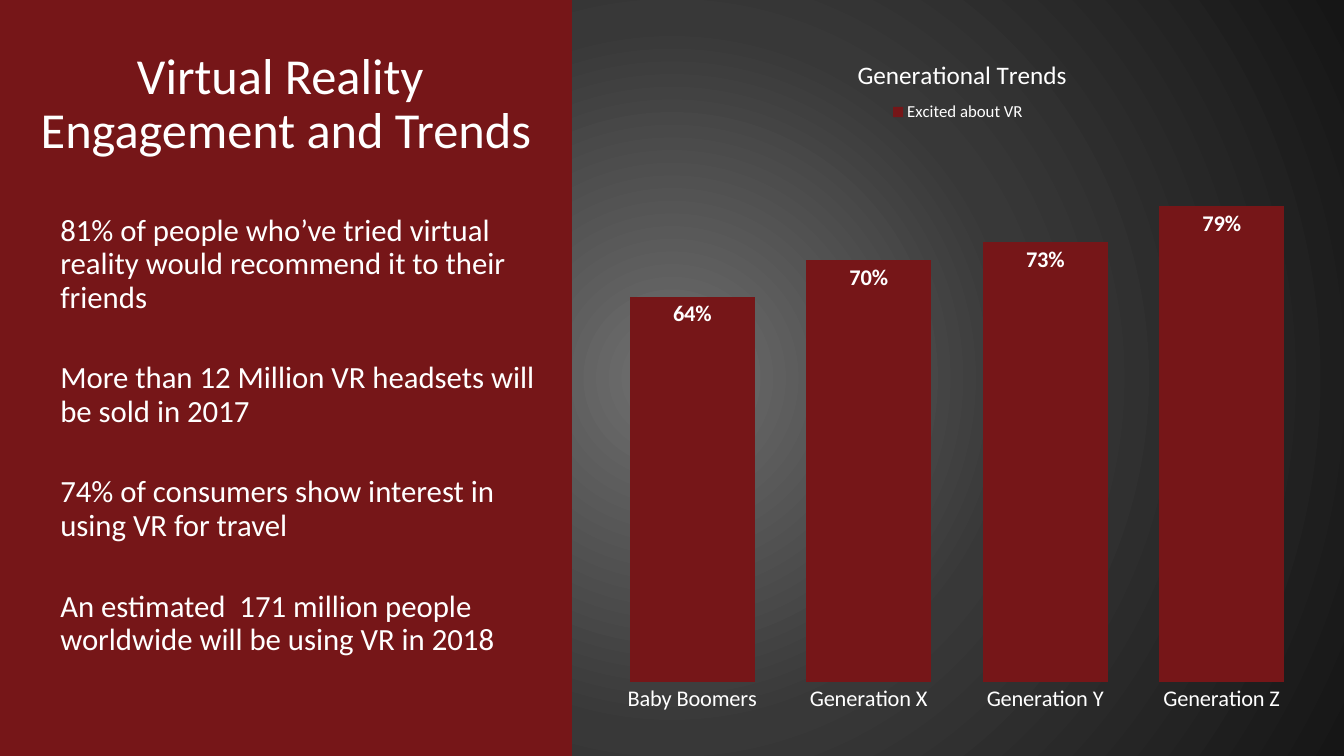
from lxml import etree
from pptx import Presentation
from pptx.chart.data import CategoryChartData
from pptx.dml.color import RGBColor
from pptx.enum.chart import (XL_CHART_TYPE as ChartType, XL_LABEL_POSITION as LabelPosition,
                             XL_LEGEND_POSITION as LegendPosition, XL_TICK_MARK as TickMark)
from pptx.enum.text import MSO_ANCHOR as Anchor, PP_ALIGN as Align
from pptx.oxml import parse_xml
from pptx.oxml.ns import nsdecls, qn
from pptx.util import Pt

PX = 12192000 / 1344
WHITE = RGBColor(0xFF, 0xFF, 0xFF)
DARK_RED = RGBColor(0x76, 0x16, 0x18)
FONT = "Calibri"
PANEL_WIDTH, TITLE_HEIGHT = 572, 210
CHART_LEFT, CHART_TOP, CHART_WIDTH, CHART_HEIGHT = 590, 25, 735, 703


def style(font, size, bold=False):
    font.name = FONT
    font.size = Pt(size)
    font.bold = bold
    font.color.rgb = WHITE


def place(element, left, top, width=None, height=None, inner=False):
    """Set a manual layout, given in slide px, on a chart part."""
    layout = element.get_or_add_layout() if hasattr(element, "get_or_add_layout") else element.find(qn("c:layout"))
    if layout is None:
        layout = etree.Element(qn("c:layout"))
        element.insert(0, layout)
    for child in list(layout):
        layout.remove(child)
    manual = etree.SubElement(layout, qn("c:manualLayout"))
    settings = [("layoutTarget", "inner")] if inner else []
    settings += [("xMode", "edge"), ("yMode", "edge"),
                 ("x", (left - CHART_LEFT) / CHART_WIDTH), ("y", (top - CHART_TOP) / CHART_HEIGHT)]
    if width:
        settings += [("w", width / CHART_WIDTH), ("h", height / CHART_HEIGHT)]
    for tag, value in settings:
        etree.SubElement(manual, qn(f"c:{tag}")).set("val", str(value))


deck = Presentation()
deck.slide_width, deck.slide_height = round(1344 * PX), round(756 * PX)
page = deck.slides.add_slide(deck.slide_layouts[6])

# Radial grey background
page.background.fill.solid()
background = page.background.fill._xPr
stops = "".join(f'<a:gs pos="{position * 1000}"><a:srgbClr val="{color}"/></a:gs>'
                for position, color in [(0, "707070"), (46, "383838"), (100, "161616")])
gradient = parse_xml(
    f'<a:gradFill {nsdecls("a")} rotWithShape="1"><a:gsLst>{stops}</a:gsLst><a:path path="circle">'
    '<a:fillToRect l="50000" t="50000" r="50000" b="50000"/></a:path></a:gradFill>')
background.replace(background.find(qn("a:solidFill")), gradient)

# Red panels
frames = []
for top, height in [(0, TITLE_HEIGHT), (TITLE_HEIGHT, 756 - TITLE_HEIGHT)]:
    box = page.shapes.add_textbox(0, round(top * PX), round(PANEL_WIDTH * PX), round(height * PX))
    box.fill.solid()
    box.fill.fore_color.rgb = DARK_RED
    box.text_frame.word_wrap = True
    frames.append(box.text_frame)
title_frame, facts_frame = frames

# Title
title_frame.vertical_anchor = Anchor.MIDDLE
para = title_frame.paragraphs[0]
para.alignment = Align.CENTER
para.line_spacing = 0.9
for index, line in enumerate(["Virtual Reality ", "Engagement and Trends"]):
    if index:
        para.add_line_break()
    span = para.add_run()
    span.text = line
    style(span.font, 36)

# Facts
facts = [
    "81% of people who’ve tried virtual reality would recommend it to their friends",
    "More than 12 Million VR headsets will be sold in 2017",
    "74% of consumers show interest in using VR for travel",
    "An estimated  171 million people worldwide will be using VR in 2018",
]
for index, fact in enumerate(facts):
    para = facts_frame.add_paragraph() if index else facts_frame.paragraphs[0]
    para._p.get_or_add_pPr().set("marL", "457200")
    para.line_spacing = 0.9
    para.space_before = Pt(34 if index else 0)
    span = para.add_run()
    span.text = fact
    style(span.font, 22)

# Column chart
data = CategoryChartData(number_format="0%")
data.categories = ["Baby Boomers", "Generation X", "Generation Y", "Generation Z"]
data.add_series("Excited about VR", [0.64, 0.70, 0.73, 0.79])
chart = page.shapes.add_chart(
    ChartType.COLUMN_CLUSTERED, round(CHART_LEFT * PX), round(CHART_TOP * PX),
    round(CHART_WIDTH * PX), round(CHART_HEIGHT * PX), data).chart
style(chart.font, 10)

# Chart title and legend
chart.has_title = True
span = chart.chart_title.text_frame.paragraphs[0].add_run()
span.text = "Generational Trends"
style(span.font, 18)
chart.has_legend = True
chart.legend.position = LegendPosition.TOP
chart.legend.include_in_layout = False
style(chart.legend.font, 12)

# Axes
categories = chart.category_axis
categories.major_tick_mark = categories.minor_tick_mark = TickMark.NONE
categories.format.line.fill.background()
style(categories.tick_labels.font, 16)
values = chart.value_axis
values.minimum_scale, values.maximum_scale = 0, 0.9
values.has_major_gridlines = False
values.visible = False

# Columns and labels
plot = chart.plots[0]
plot.gap_width = 41
plot.vary_by_categories = False
columns = plot.series[0]
columns.format.fill.solid()
columns.format.fill.fore_color.rgb = DARK_RED
labels = columns.data_labels
labels.show_value = True
labels.position = LabelPosition.INSIDE_END
labels.number_format = "0%"
labels.number_format_is_linked = False
style(labels.font, 16, bold=True)

# Chart layout
place(chart.chart_title._element, 853, 53)
legend_element = chart.legend._element
if legend_element.find(qn("c:layout")) is None:
    legend_element.find(qn("c:legendPos")).addnext(etree.Element(qn("c:layout")))
place(legend_element, 888, 99, 140, 26)
place(plot._element.getparent(), 604, 140, 706, 542, inner=True)

deck.save("out.pptx")
